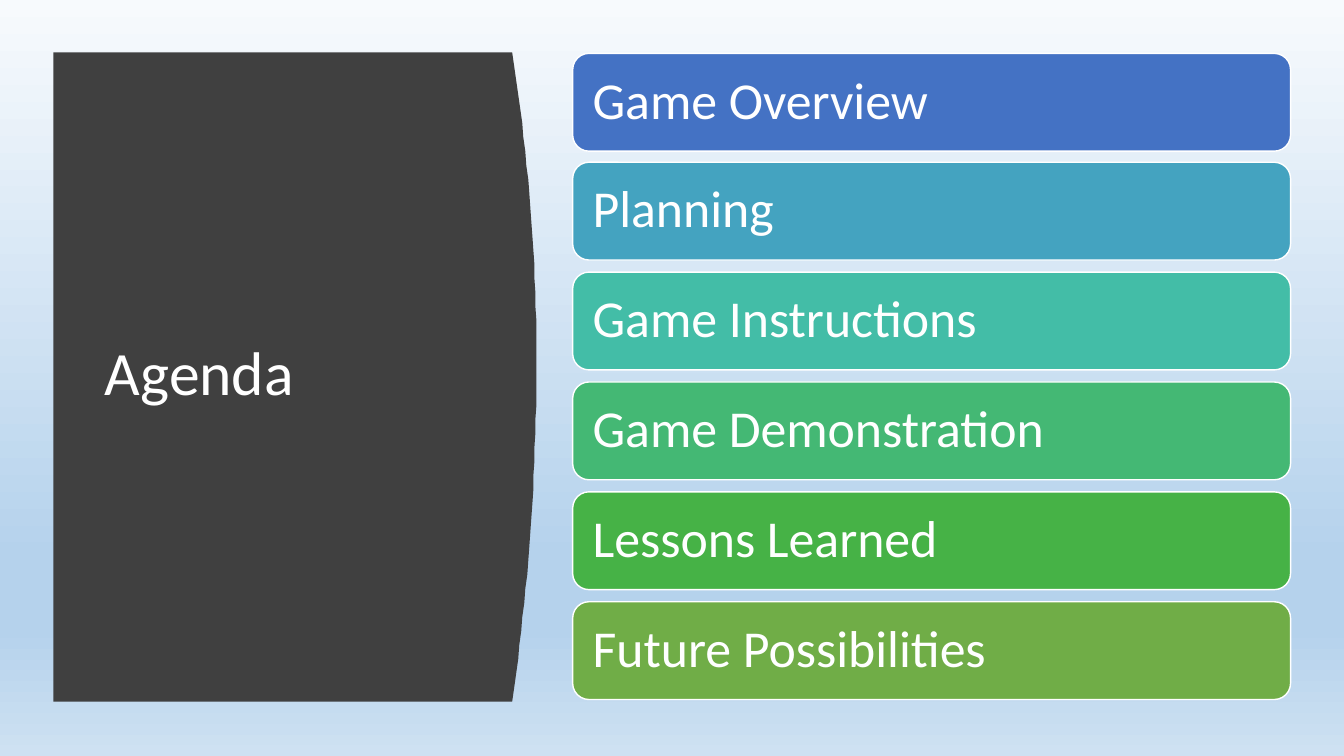
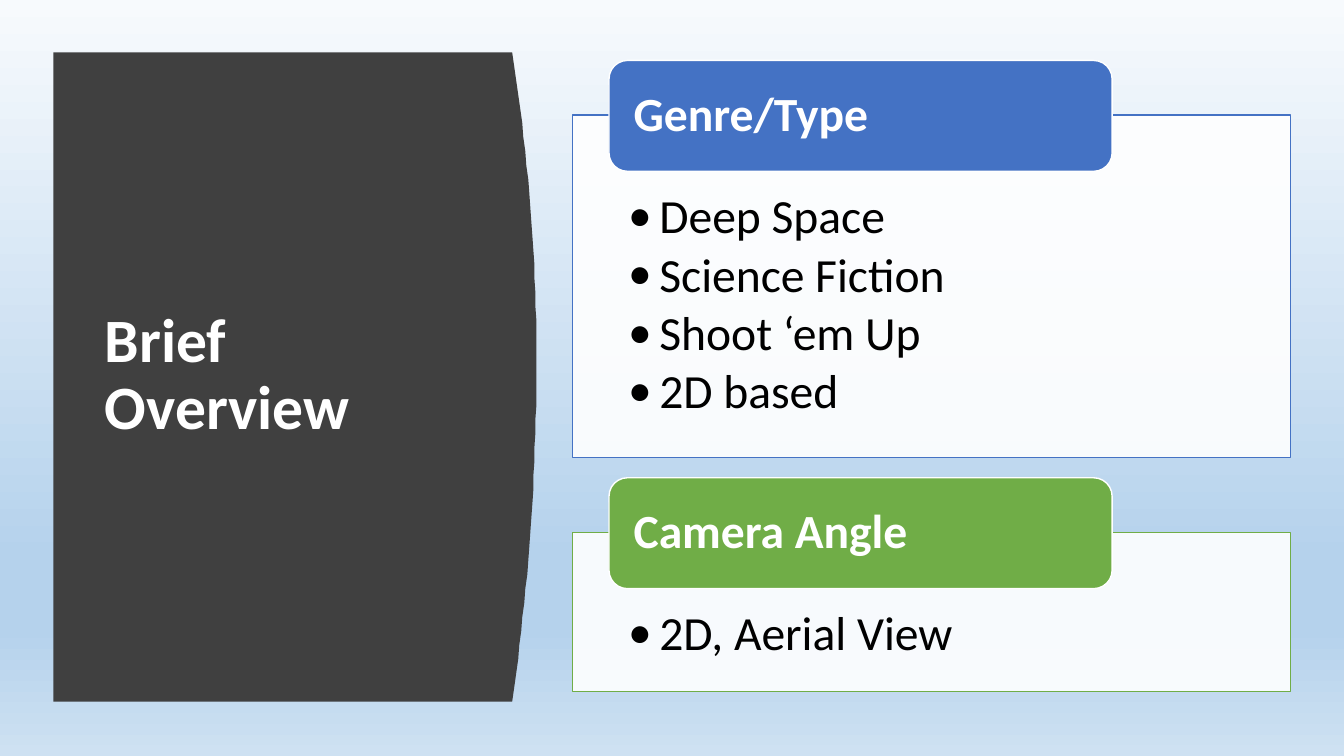
"""Build the agenda and overview slides of a game presentation."""
from dataclasses import dataclass

from lxml.etree import SubElement
from pptx import Presentation
from pptx.dml.color import RGBColor
from pptx.enum.shapes import MSO_SHAPE
from pptx.enum.text import MSO_ANCHOR, MSO_AUTO_SIZE, PP_ALIGN
from pptx.oxml.ns import qn
from pptx.util import Pt

PX = 9144


@dataclass(frozen=True)
class Theme:
    font: str = "Calibri"
    white: str = "FFFFFF"
    text: str = "000000"
    panel: str = "404040"
    blue: str = "4472C4"
    green: str = "70AD47"
    agenda: tuple = ("4472C4", "44A3C0", "43BDA7", "44B874", "46B246", "70AD47")
    backdrop: tuple = ((0, "F7FAFD"), (74, "B5D2EC"), (83, "B5D2EC"), (100, "CEE1F2"))
    title_size: int = 44
    agenda_size: int = 37
    card_size: int = 34


THEME = Theme()
AGENDA = ("Game Overview", "Planning", "Game Instructions",
          "Game Demonstration", "Lessons Learned", "Future Possibilities")
CARDS = (
    ("Genre/Type", ("Deep Space", "Science Fiction", "Shoot ‘em Up", "2D based"),
     THEME.blue, 340),
    ("Camera Angle", ("2D, Aerial View",), THEME.green, 158),
)
CONTENT_X, CONTENT_W = 568, 712


def rgb(value):
    return RGBColor.from_string(value)


def place(sp, *box):
    sp.left, sp.top, sp.width, sp.height = (v * PX for v in box)


def paint(sp, fill, line):
    sp.fill.solid()
    sp.fill.fore_color.rgb = rgb(fill)
    sp.line.color.rgb = rgb(line)
    sp.line.width = Pt(1)


def write(sp, lines, size, color, bold=False, anchor=MSO_ANCHOR.MIDDLE, after=0):
    tf = sp.text_frame
    tf.text = "\n".join(lines)
    tf.word_wrap = True
    tf.auto_size = MSO_AUTO_SIZE.NONE
    tf.vertical_anchor = anchor
    for p in tf.paragraphs:
        p.alignment = PP_ALIGN.LEFT
        p.line_spacing = 0.9
        p.space_before = Pt(0)
        p.space_after = Pt(after)
        for r in p.runs:
            r.font.name = THEME.font
            r.font.size = Pt(size)
            r.font.bold = bold
            r.font.color.rgb = rgb(color)


def set_margins(sp, left, top, right, bottom):
    tf = sp.text_frame
    tf.margin_left, tf.margin_top = left * PX, top * PX
    tf.margin_right, tf.margin_bottom = right * PX, bottom * PX


def set_backdrop(master):
    fill = master.background.fill
    fill.gradient()
    fill.gradient_angle = 270
    stops = master.element.find(".//" + qn("a:gsLst"))
    for stop in list(stops):
        stops.remove(stop)
    for percent, color in THEME.backdrop:
        stop = SubElement(stops, qn("a:gs"), pos=str(percent * 1000))
        SubElement(stop, qn("a:srgbClr"), val=color)


def add_panel(s):
    left, top, bottom, edge, bulge, peak = 53, 52, 696, 508, 24, 360
    curve = []
    for y in range(top, bottom + 1, 14):
        reach = peak - top if y < peak else bottom - peak
        curve.append((edge + bulge * (1 - ((y - peak) / reach) ** 2), y))
    outline = s.shapes.build_freeform(left, top, scale=PX)
    outline.add_line_segments(curve + [(left, bottom)], close=True)
    sp = outline.convert_to_shape()
    sp.shadow.inherit = False
    sp.fill.solid()
    sp.fill.fore_color.rgb = rgb(THEME.panel)
    sp.line.fill.background()
    s.shapes.element.insert(2, sp.element)


def add_titled_slide(prs, layout, title, bold=False):
    s = prs.slides.add_slide(prs.slide_layouts.get_by_name(layout))
    add_panel(s)
    place(s.shapes.title, 94, 111, 374, 524)
    write(s.shapes.title, [title], THEME.title_size, THEME.white, bold)
    return s


def add_label(s, box, text, color, size, margin, bold=False):
    sp = s.shapes.add_shape(MSO_SHAPE.ROUNDED_RECTANGLE, *(v * PX for v in box))
    sp.shadow.inherit = False
    paint(sp, color, THEME.white)
    set_margins(sp, margin, 0, margin, 0)
    write(sp, [text], size, THEME.white, bold)


def fill_list(sp, box, items, color):
    place(sp, *box)
    paint(sp, THEME.white, color)
    tint = sp.element.spPr.find(qn("a:solidFill")).find(qn("a:srgbClr"))
    SubElement(tint, qn("a:alpha"), val="90000")
    set_margins(sp, 55, 77, 55, 26)
    write(sp, items, THEME.card_size, THEME.text, anchor=MSO_ANCHOR.TOP, after=5)
    for p in sp.text_frame.paragraphs:
        pPr = p._p.get_or_add_pPr()
        pPr.set("marL", str(31 * PX))
        pPr.set("indent", str(-31 * PX))
        SubElement(pPr, qn("a:buFont"), typeface=THEME.font)
        SubElement(pPr, qn("a:buChar"), char="•")


def build_agenda(prs):
    s = add_titled_slide(prs, "Title Only", "Agenda")
    first, last, height = 53, 597, 97
    for i, (text, color) in enumerate(zip(AGENDA, THEME.agenda)):
        y = first + (last - first) * i // (len(AGENDA) - 1)
        add_label(s, (CONTENT_X, y, CONTENT_W, height), text, color,
                  THEME.agenda_size, 15)


def build_overview(prs):
    s = add_titled_slide(prs, "Two Content", "Brief Overview", bold=True)
    y, drop, gap = 60, 54, 20
    for idx, (heading, items, color, height) in enumerate(CARDS, start=1):
        fill_list(s.placeholders[idx], (CONTENT_X, y + drop, CONTENT_W, height),
                  items, color)
        add_label(s, (CONTENT_X + 36, y, 499, 110), heading, color,
                  THEME.card_size, 19, bold=True)
        y += drop + height + gap


def main():
    prs = Presentation()
    prs.slide_width, prs.slide_height = 1333 * PX, 750 * PX
    set_backdrop(prs.slide_master)
    build_agenda(prs)
    build_overview(prs)
    prs.save("out.pptx")


if __name__ == "__main__":
    main()
